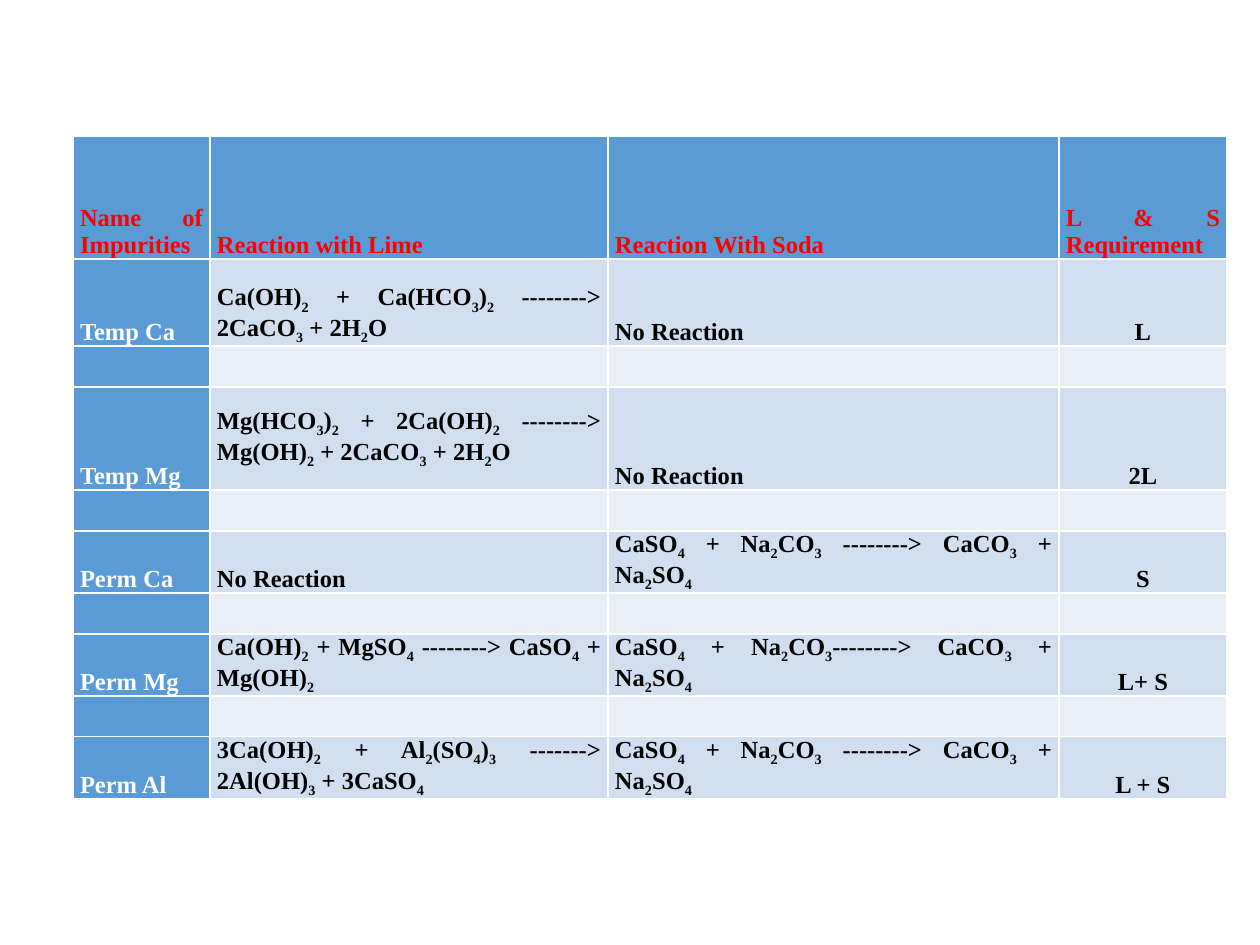
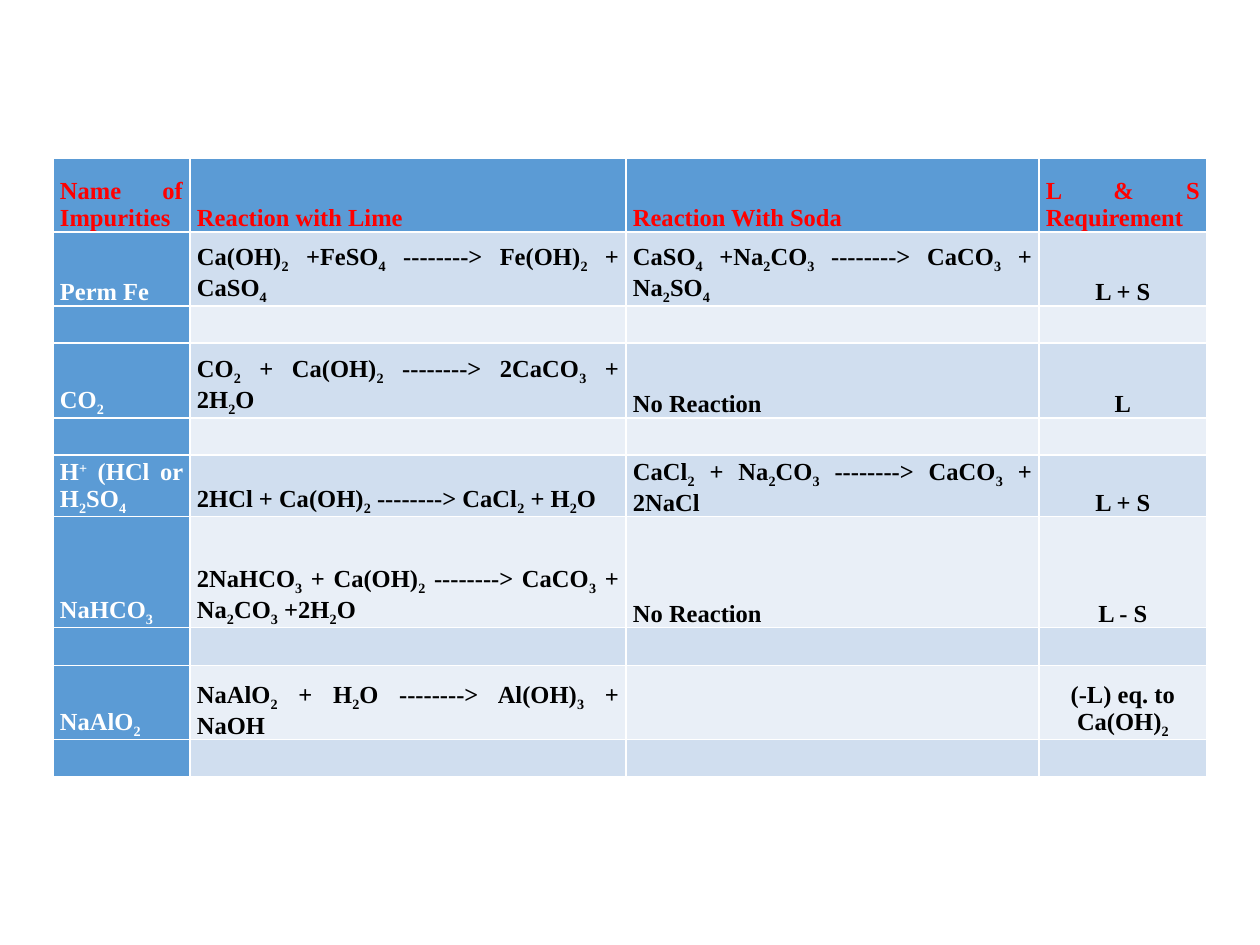
"""Build two table slides on lime and soda requirements in water softening."""
from itertools import groupby

from lxml import etree
from pptx import Presentation
from pptx.dml.color import RGBColor
from pptx.enum.text import MSO_ANCHOR, PP_ALIGN
from pptx.oxml.ns import qn
from pptx.util import Inches, Pt

PX = Inches(1) / 126
SLIDE_SIZE = (1260, 945)
BLANK_LAYOUT = 6
FONT = "Times New Roman"
TEXT_SIZE = 14
SIDE_INSET = 7
JUSTIFY, CENTER = PP_ALIGN.JUSTIFY, PP_ALIGN.CENTER
BOTTOM, MIDDLE = MSO_ANCHOR.BOTTOM, MSO_ANCHOR.MIDDLE
COLORS = {
    "head": "5B9BD5",
    "band_odd": "D0DEEF",
    "band_even": "E9EFF7",
    "title": "FF0000",
    "name": "FFFFFF",
    "body": "000000",
}
SUBSCRIPT, SUPERSCRIPT = "-25000", "30000"
RAISED = {"⁺": "+"}

HEADINGS = ["Name of Impurities", "Reaction with Lime", "Reaction With Soda", "L & S Requirement"]
GAP_ROW = ["", "", "", ""]
NONE = "No Reaction"
SODA_REACTION = "CaSO4 + Na2CO3 --------> CaCO3 + Na2SO4"

HARDNESS_SALTS = {
    "corner": (73, 136),
    "widths": [137, 398, 451, 168],
    "heights": [123, 87, 41, 103, 41, 62, 41, 62, 41, 62],
    "middle_cells": [(3, 1)],
    "rows": [
        HEADINGS,
        ["Temp Ca", "Ca(OH)2 + Ca(HCO3)2 --------> 2CaCO3 + 2H2O", NONE, "L"],
        GAP_ROW,
        ["Temp Mg", "Mg(HCO3)2 + 2Ca(OH)2 --------> Mg(OH)2 + 2CaCO3 + 2H2O", NONE, "2L"],
        GAP_ROW,
        ["Perm Ca", NONE, SODA_REACTION, "S"],
        GAP_ROW,
        ["Perm Mg", "Ca(OH)2 + MgSO4 --------> CaSO4 + Mg(OH)2",
         "CaSO4 + Na2CO3--------> CaCO3 + Na2SO4", "L+ S"],
        GAP_ROW,
        ["Perm Al", "3Ca(OH)2 + Al2(SO4)3 -------> 2Al(OH)3 + 3CaSO4", SODA_REACTION, "L + S"],
    ],
}
OTHER_IMPURITIES = {
    "corner": (53, 158),
    "widths": [137, 436, 413, 168],
    "heights": [74, 74, 37, 75, 37, 62, 111, 38, 74, 37],
    "middle_cells": [],
    "rows": [
        HEADINGS,
        ["Perm Fe", "Ca(OH)2 +FeSO4 --------> Fe(OH)2 + CaSO4",
         "CaSO4 +Na2CO3 --------> CaCO3 + Na2SO4", "L + S"],
        GAP_ROW,
        ["CO2", "CO2 + Ca(OH)2 --------> 2CaCO3 + 2H2O", NONE, "L"],
        GAP_ROW,
        ["H⁺ (HCl or H2SO4", "2HCl + Ca(OH)2 --------> CaCl2 + H2O",
         "CaCl2 + Na2CO3 --------> CaCO3 + 2NaCl", "L + S"],
        ["NaHCO3", "2NaHCO3 + Ca(OH)2 --------> CaCO3 + Na2CO3 +2H2O", NONE, "L - S"],
        GAP_ROW,
        ["NaAlO2", "NaAlO2 + H2O --------> Al(OH)3 + NaOH", "", "(-L) eq. to Ca(OH)2"],
        GAP_ROW,
    ],
}


def px(length):
    """Turn a length in px into EMU."""
    return round(length * PX)


def formula_parts(text):
    """Split a formula into (text, baseline); a digit after a letter or bracket is a subscript."""
    marked = []
    for before, char in zip(" " + text, text):
        if char in RAISED:
            marked.append((RAISED[char], SUPERSCRIPT))
        elif char.isdigit() and (before.isalpha() or before == ")"):
            marked.append((char, SUBSCRIPT))
        else:
            marked.append((char, None))
    for baseline, group in groupby(marked, key=lambda mark: mark[1]):
        yield "".join(char for char, _ in group), baseline


def write_text(cell, text, color="body", align=JUSTIFY, anchor=BOTTOM):
    """Write a formula or plain words into a cell."""
    cell.margin_left = cell.margin_right = px(SIDE_INSET)
    cell.margin_top = cell.margin_bottom = 0
    cell.vertical_anchor = anchor
    para = cell.text_frame.paragraphs[0]
    para.alignment = align
    for part, baseline in formula_parts(text):
        span = para.add_run()
        span.text = part
        span.font.name = FONT
        span.font.size = Pt(TEXT_SIZE)
        span.font.bold = True
        span.font.color.rgb = RGBColor.from_string(COLORS[color])
        if baseline:
            span._r.get_or_add_rPr().set("baseline", baseline)
    etree.SubElement(para._p, qn("a:endParaRPr"), sz=str(TEXT_SIZE * 100))


def cell_style(row, column):
    """Return the fill, text colour and alignment for a place in the table."""
    if row == 0:
        return "head", "title", JUSTIFY
    if column == 0:
        return "head", "name", JUSTIFY
    band = "band_odd" if row % 2 else "band_even"
    return band, "body", CENTER if column == len(HEADINGS) - 1 else JUSTIFY


def add_reaction_table(slide, corner, widths, heights, middle_cells, rows):
    """Add a table of impurities and their reactions."""
    left, top = corner
    frame = slide.shapes.add_table(len(rows), len(widths), px(left), px(top),
                                   px(sum(widths)), px(sum(heights)))
    table = frame.table
    table.first_col = True
    for column, width in zip(table.columns, widths):
        column.width = px(width)
    for row, height in zip(table.rows, heights):
        row.height = px(height)
    for r, texts in enumerate(rows):
        for c, text in enumerate(texts):
            cell = table.cell(r, c)
            fill, color, align = cell_style(r, c)
            cell.fill.solid()
            cell.fill.fore_color.rgb = RGBColor.from_string(COLORS[fill])
            anchor = MIDDLE if (r, c) in middle_cells else BOTTOM
            write_text(cell, text, color=color, align=align, anchor=anchor)


def main():
    """Build and save the deck."""
    deck = Presentation()
    deck.slide_width, deck.slide_height = map(px, SLIDE_SIZE)
    for content in (HARDNESS_SALTS, OTHER_IMPURITIES):
        slide = deck.slides.add_slide(deck.slide_layouts[BLANK_LAYOUT])
        add_reaction_table(slide, **content)
    deck.save("out.pptx")


if __name__ == "__main__":
    main()
